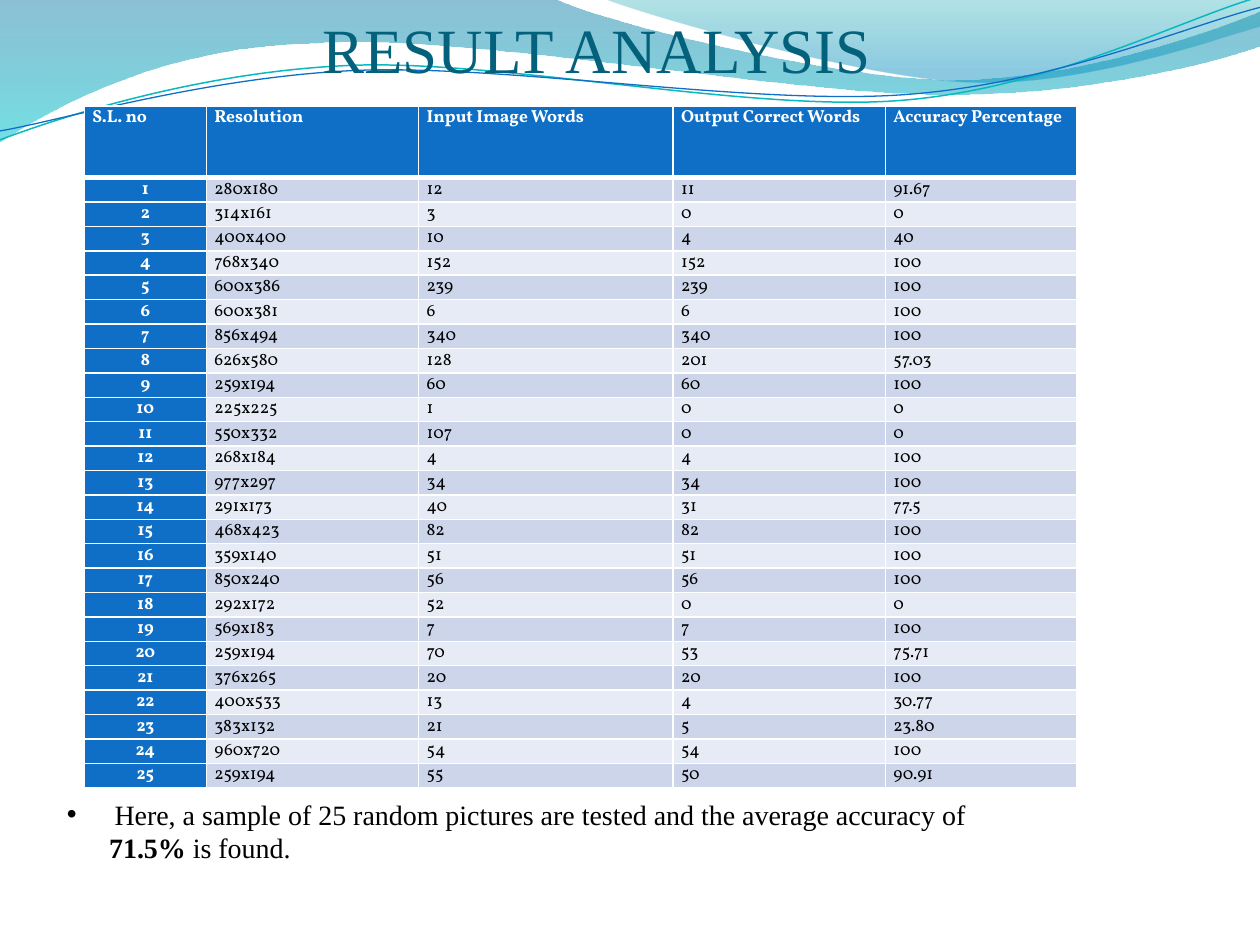
"""Build the result analysis slide with its table of 25 tested pictures."""
from lxml.etree import SubElement
from pptx import Presentation
from pptx.dml.color import RGBColor
from pptx.enum.text import MSO_ANCHOR as Anchor, PP_ALIGN as Align
from pptx.oxml.ns import qn
from pptx.util import Cm, Pt

TITLE = "RESULT ANALYSIS"
HEADINGS = ["S.L. no", "Resolution", "Input Image Words",
            "Output Correct Words", "Accuracy Percentage"]
RESULTS = [
    ("280x180", "12", "11", "91.67"),
    ("314x161", "3", "0", "0"),
    ("400x400", "10", "4", "40"),
    ("768x340", "152", "152", "100"),
    ("600x386", "239", "239", "100"),
    ("600x381", "6", "6", "100"),
    ("856x494", "340", "340", "100"),
    ("626x580", "128", "201", "57.03"),
    ("259x194", "60", "60", "100"),
    ("225x225", "1", "0", "0"),
    ("550x332", "107", "0", "0"),
    ("268x184", "4", "4", "100"),
    ("977x297", "34", "34", "100"),
    ("291x173", "40", "31", "77.5"),
    ("468x423", "82", "82", "100"),
    ("359x140", "51", "51", "100"),
    ("850x240", "56", "56", "100"),
    ("292x172", "52", "0", "0"),
    ("569x183", "7", "7", "100"),
    ("259x194", "70", "53", "75.71"),
    ("376x265", "20", "20", "100"),
    ("400x533", "13", "4", "30.77"),
    ("383x132", "21", "5", "23.80"),
    ("960x720", "54", "54", "100"),
    ("259x194", "55", "50", "90.91"),
]
FINDING = [
    [("Here, a sample of 25 random pictures are tested and the average accuracy of", False)],
    [("71.5% ", True), ("is found.", False)],
]

WAVES = [
    {"route": [[(0, 0)], [(11.18, -0.03)],
               [(12.09, 0.43), (16.87, 1.6), (19.25, 1.6)],
               [(21.67, 1.6), (24.33, 0.66), (25.4, 0.23)], [(25.43, 0.91)],
               [(24.97, 1.12), (22.1, 1.93), (18.95, 1.9)],
               [(15.8, 1.9), (9.7, 0.71), (6.53, 0.86)],
               [(3.28, 0.91), (1.17, 2.11), (-0.03, 2.87)]],
     "stops": [(0, "0074A1", 45), (1, "00C6CF", 55)]},
    {"route": [[(12.17, -0.03)],
               [(12.93, 0.28), (17.32, 1.57), (19.53, 1.65)],
               [(21.74, 1.75), (24.41, 0.81), (25.4, 0.53)], [(25.4, 0)]],
     "stops": [(0, "00A1A9", 30), (0.8, "008BBF", 45)]},
    {"route": [[(0, 2.82)],
               [(1.22, 2.36), (4.01, 1.45), (7.04, 1.32)],
               [(10.03, 1.19), (15.06, 2.26), (18.11, 2.03)],
               [(21.16, 1.8), (23.83, 0.38), (25.35, -0.05)]],
     "line": ("0AB8BF", 0.85)},
    {"route": [[(0, 2.64)],
               [(1.19, 2.44), (4.17, 1.55), (7.19, 1.42)],
               [(10.24, 1.3), (15.16, 2.13), (18.21, 1.91)],
               [(21.23, 1.7), (23.9, 0.53), (25.4, 0.15)]],
     "line": ("0F6FC6", 0.75)},
]

BLUE, WHITE, BANDS = "0F6FC6", "FFFFFF", ("CCD5EA", "E7EBF5")
COLUMN_WIDTHS = [2.46, 4.28, 5.13, 4.28, 3.85]
HEADER_HEIGHT, BODY_HEIGHT = 1.44, 12.3
TITLE_FONT = {"name": "Times New Roman", "size": Pt(36)}
FINDING_FONT = {"name": "Times New Roman", "size": Pt(16)}
LABEL_FONT = {"name": "Vollkorn", "size": Pt(10), "bold": True}
VALUE_FONT = {**LABEL_FONT, "bold": False}
CELL_FORMAT = {"margin_left": Cm(0.16), "margin_right": Cm(0.16),
               "margin_top": 0, "margin_bottom": 0}
TITLE_FRAME = {"word_wrap": True, "vertical_anchor": Anchor.BOTTOM, "margin_left": 0,
               "margin_right": 0, "margin_top": Cm(0.13), "margin_bottom": 0}


def rgb(code):
    return RGBColor.from_string(code)


def apply(target, values):
    for name, value in values.items():
        setattr(target, name, value)


def write(paragraph, text, font, color):
    run = paragraph.add_run()
    run.text = text
    apply(run.font, font)
    run.font.color.rgb = rgb(color)


def bend(wave, legs):
    outline = next(wave._element.iter(qn("a:path")))
    segments = iter(outline.findall(qn("a:lnTo")))
    for leg in legs:
        parts = [next(segments) for _ in leg]
        if len(parts) == 3:
            curve = SubElement(outline, qn("a:cubicBezTo"))
            parts[0].addprevious(curve)
            for part in parts:
                curve.append(part[0])
                outline.remove(part)


def add_wave(slide, route, stops=None, line=None):
    start, *rest = [(Cm(x), Cm(y)) for leg in route for x, y in leg]
    builder = slide.shapes.build_freeform(*start)
    builder.add_line_segments(rest, close=False)
    wave = builder.convert_to_shape()
    bend(wave, route[1:])
    wave.shadow.inherit = False
    if line:
        wave.fill.background()
        wave.line.color.rgb = rgb(line[0])
        wave.line.width = Pt(line[1])
        return
    SubElement(next(wave._element.iter(qn("a:path"))), qn("a:close"))
    wave.line.fill.background()
    wave.fill.gradient()
    wave.fill.gradient_angle = 270
    for stop, (position, color, _) in zip(wave.fill.gradient_stops, stops):
        stop.position = position
        stop.color.rgb = rgb(color)
    for shade, (_, _, opacity) in zip(wave._element.iter(qn("a:srgbClr")), stops):
        SubElement(shade, qn("a:alpha"), val=str(opacity * 1000))


def add_borders(cell, row):
    widths = {"lnL": 1, "lnR": 1, "lnT": 3 if row == 1 else 1, "lnB": 3 if row == 0 else 1}
    for side, width in widths.items():
        border = SubElement(cell._tc.get_or_add_tcPr(), qn(f"a:{side}"), w=str(Pt(width)))
        SubElement(SubElement(border, qn("a:solidFill")), qn("a:srgbClr"), val=WHITE)


def add_results(slide):
    rows = [HEADINGS] + [(str(n), *result) for n, result in enumerate(RESULTS, 1)]
    heights = [HEADER_HEIGHT] + [BODY_HEIGHT / len(RESULTS)] * len(RESULTS)
    results = slide.shapes.add_table(
        len(rows), len(HEADINGS), Cm(1.7), Cm(2.14),
        Cm(sum(COLUMN_WIDTHS)), Cm(sum(heights))).table
    for column, width in zip(results.columns, COLUMN_WIDTHS):
        column.width = Cm(width)
    for r, (values, height) in enumerate(zip(rows, heights)):
        results.rows[r].height = Cm(height)
        for c, value in enumerate(values):
            cell = results.cell(r, c)
            label = r == 0 or c == 0
            add_borders(cell, r)
            apply(cell, CELL_FORMAT)
            cell.fill.solid()
            cell.fill.fore_color.rgb = rgb(BLUE if label else BANDS[(r - 1) % 2])
            paragraph = cell.text_frame.paragraphs[0]
            paragraph.alignment = Align.CENTER if r and c == 0 else Align.LEFT
            write(paragraph, value, LABEL_FONT if label else VALUE_FONT,
                  WHITE if label else "000000")


def add_finding(slide):
    frame = slide.shapes.add_textbox(Cm(1.1), Cm(15.95), Cm(21), Cm(1.6)).text_frame
    frame.word_wrap = True
    for index, (parts, left) in enumerate(zip(FINDING, (0.96, 0.85))):
        paragraph = frame.add_paragraph() if index else frame.paragraphs[0]
        layout = paragraph._p.get_or_add_pPr()
        layout.set("marL", str(Cm(left)))
        if index == 0:
            layout.set("indent", str(-Cm(left)))
            SubElement(layout, qn("a:buFont"), typeface="Arial")
            SubElement(layout, qn("a:buChar"), char="•")
        for text, bold in parts:
            write(paragraph, text, {**FINDING_FONT, "bold": bold}, "000000")


def main():
    deck = Presentation()
    apply(deck, {"slide_width": Cm(25.4), "slide_height": Cm(19.05)})
    slide = deck.slides.add_slide(deck.slide_layouts[6])
    for wave in WAVES:
        add_wave(slide, **wave)
    title = slide.shapes.add_textbox(Cm(6.5), Cm(0.28), Cm(11.7), Cm(1.45)).text_frame
    apply(title, TITLE_FRAME)
    write(title.paragraphs[0], TITLE, TITLE_FONT, "04617B")
    add_results(slide)
    add_finding(slide)
    deck.save("out.pptx")


if __name__ == "__main__":
    main()
